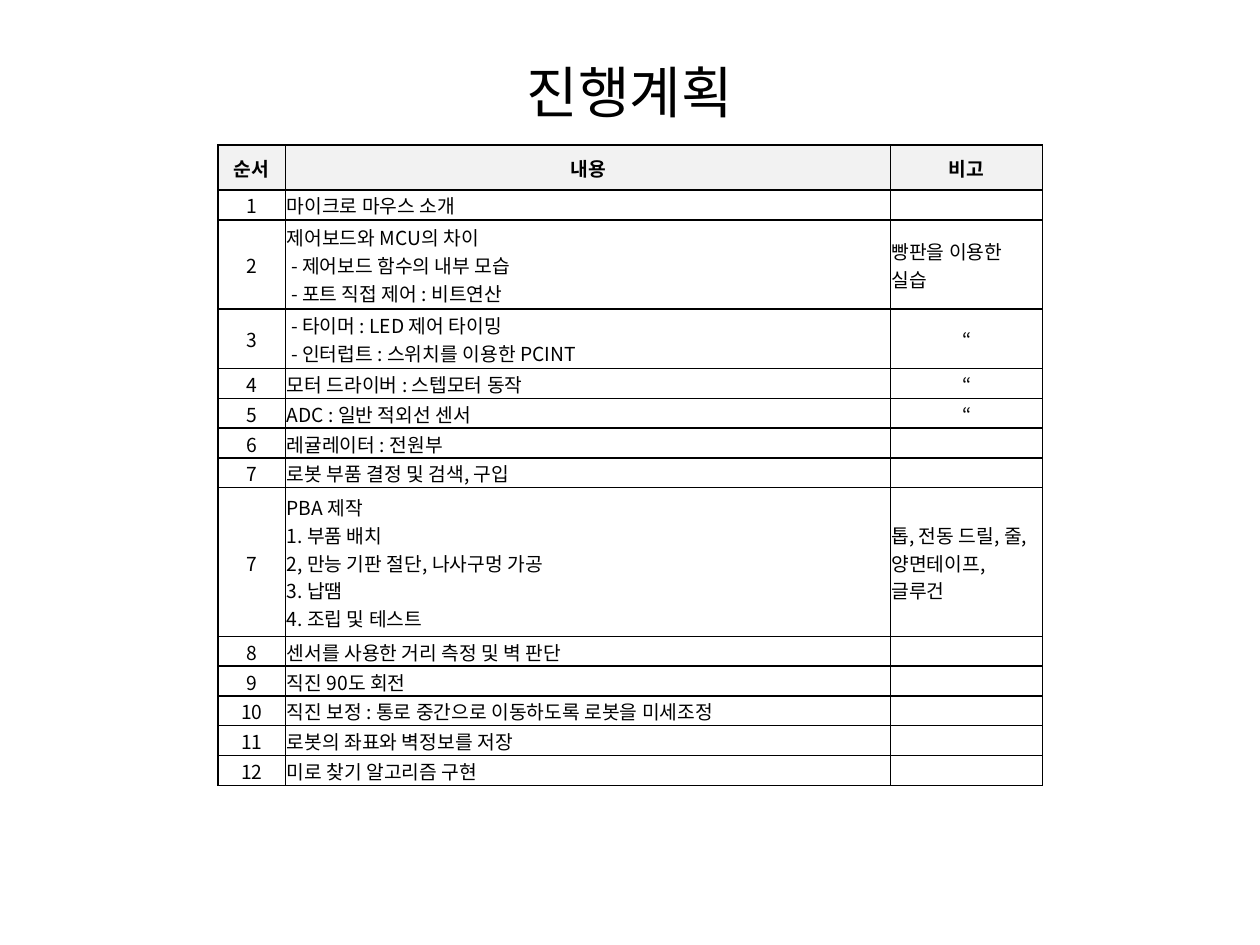
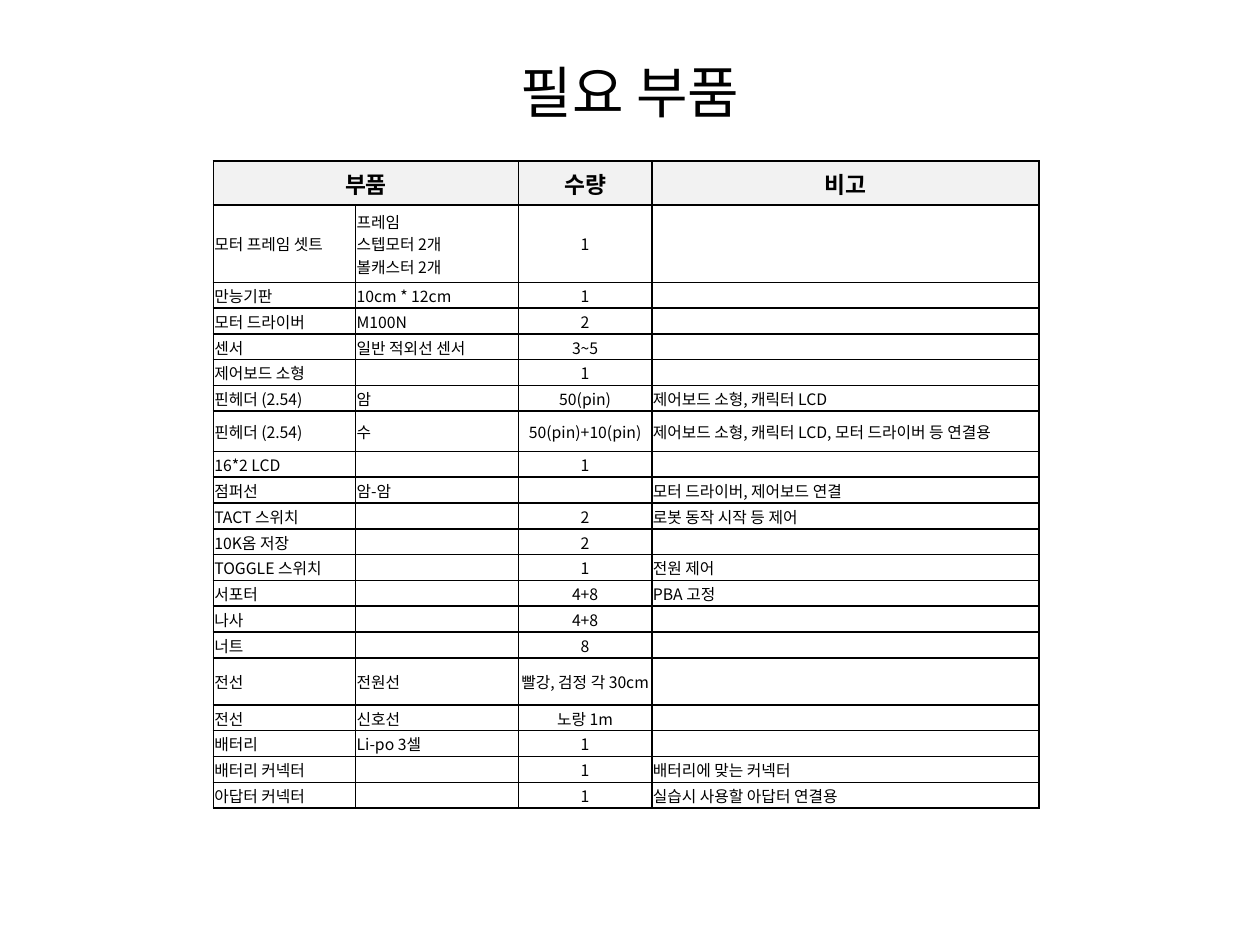
import pptx
import pptx.util
import pptx.dml.color
import pptx.enum.text
import pptx.oxml.ns
import lxml.etree

Cm = pptx.util.Cm
Pt = pptx.util.Pt
qn = pptx.oxml.ns.qn
ALIGN = {"l": pptx.enum.text.PP_ALIGN.LEFT, "c": pptx.enum.text.PP_ALIGN.CENTER}
MIDDLE = pptx.enum.text.MSO_ANCHOR.MIDDLE
FONT = "Noto Sans CJK KR"
COLORS = {"ink": "000000", "header": "F2F2F2", "paper": "FFFFFF"}
TITLE_BOX = (1.27, 0.76, 22.86, 2.16)
DITTO = "“"

PLAN = {
    "title": "진행계획",
    "origin": (4.39, 2.92),
    "widths": (1.37, 12.19, 3.07),
    "aligns": "cll",
    "header_height": 0.91,
    "row_height": 0.6,
    "tall_rows": {2: 1.8, 3: 1.2, 8: 3.0},
    "header_size": 11,
    "body_size": 11,
    "rows": [
        ("순서", "내용", "비고"),
        ("1", "마이크로 마우스 소개", ""),
        ("2", "제어보드와 MCU의 차이\v - 제어보드 함수의 내부 모습\v - 포트 직접 제어 : 비트연산",
         "빵판을 이용한 실습"),
        ("3", " - 타이머 : LED 제어 타이밍\v - 인터럽트 : 스위치를 이용한 PCINT", DITTO),
        ("4", "모터 드라이버 : 스텝모터 동작", DITTO),
        ("5", "ADC : 일반 적외선 센서", DITTO),
        ("6", "레귤레이터 : 전원부", ""),
        ("7", "로봇 부품 결정 및 검색, 구입", ""),
        ("7", "PBA 제작\v1. 부품 배치\v2, 만능 기판 절단, 나사구멍 가공\v3. 납땜\v4. 조립 및 테스트",
         "톱, 전동 드릴, 줄,양면테이프, 글루건"),
        ("8", "센서를 사용한 거리 측정 및 벽 판단", ""),
        ("9", "직진 90도 회전", ""),
        ("10", "직진 보정 : 통로 중간으로 이동하도록 로봇을 미세조정", ""),
        ("11", "로봇의 좌표와 벽정보를 저장", ""),
        ("12", "미로 찾기 알고리즘 구현", ""),
    ],
}

PARTS = {
    "title": "필요 부품",
    "origin": (4.3, 3.25),
    "widths": (2.87, 3.28, 2.69, 7.8),
    "aligns": "llcl",
    "header_height": 0.88,
    "row_height": 0.52,
    "tall_rows": {1: 1.56, 7: 0.81, 16: 0.95},
    "header_size": 13,
    "body_size": 9,
    "header_span": 2,
    "rows": [
        ("부품", "", "수량", "비고"),
        ("모터 프레임 셋트", "프레임\v스텝모터 2개\v볼캐스터 2개", "1", ""),
        ("만능기판", "10cm * 12cm", "1", ""),
        ("모터 드라이버", "M100N", "2", ""),
        ("센서", "일반 적외선 센서", "3~5", ""),
        ("제어보드 소형", "", "1", ""),
        ("핀헤더 (2.54)", "암", "50(pin)", "제어보드 소형, 캐릭터 LCD"),
        ("핀헤더 (2.54)", "수", "50(pin)+10(pin)",
         "제어보드 소형, 캐릭터 LCD, 모터 드라이버 등 연결용"),
        ("16*2 LCD", "", "1", ""),
        ("점퍼선", "암-암", "", "모터 드라이버, 제어보드 연결"),
        ("TACT 스위치", "", "2", "로봇 동작 시작 등 제어"),
        ("10K옴 저장", "", "2", ""),
        ("TOGGLE 스위치", "", "1", "전원 제어"),
        ("서포터", "", "4+8", "PBA 고정"),
        ("나사", "", "4+8", ""),
        ("너트", "", "8", ""),
        ("전선", "전원선", "빨강, 검정 각 30cm", ""),
        ("전선", "신호선", "노랑 1m", ""),
        ("배터리", "Li-po 3셀", "1", ""),
        ("배터리 커넥터", "", "1", "배터리에 맞는 커넥터"),
        ("아답터 커넥터", "", "1", "실습시 사용할 아답터 연결용"),
    ],
}


def rgb(name):
    return pptx.dml.color.RGBColor.from_string(COLORS[name])


def write(tf, text, size, align="l", bold=False, color="ink"):
    p = tf.paragraphs[0]
    p.alignment = ALIGN[align]
    if not text:
        lxml.etree.SubElement(p._p, qn("a:endParaRPr"), sz=str(size * 100))
        return
    p.text = text
    for r in p.runs:
        r.font.size = Pt(size)
        r.font.bold = bold
        r.font.color.rgb = rgb(color)
        r.font.name = FONT
        lxml.etree.SubElement(r.font._element, qn("a:ea"), typeface=FONT)


def add_title(s, box, text):
    tf = s.shapes.add_textbox(*map(Cm, box)).text_frame
    tf.word_wrap = True
    tf.vertical_anchor = MIDDLE
    write(tf, text, 32, "c")


def style_cell(cell, fill):
    cell.vertical_anchor = MIDDLE
    cell.margin_left = cell.margin_right = cell.margin_top = Cm(0.02)
    cell.margin_bottom = 0
    tcPr = cell._tc.get_or_add_tcPr()
    for side in ("lnL", "lnR", "lnT", "lnB"):
        ln = lxml.etree.SubElement(tcPr, qn("a:" + side), w=str(Pt(1)))
        line_fill = lxml.etree.SubElement(ln, qn("a:solidFill"))
        lxml.etree.SubElement(line_fill, qn("a:srgbClr"), val=COLORS["ink"])
    cell.fill.solid()
    cell.fill.fore_color.rgb = rgb(fill)


def add_grid(s, data):
    rows, widths = data["rows"], data["widths"]
    heights = [data["tall_rows"].get(i, data["row_height"]) for i in range(len(rows))]
    heights[0] = data["header_height"]
    box = (*data["origin"], sum(widths), sum(heights))
    table = s.shapes.add_table(len(rows), len(widths), *map(Cm, box)).table
    for column, width in zip(table.columns, widths):
        column.width = Cm(width)
    for i, (row, texts) in enumerate(zip(table.rows, rows)):
        row.height = Cm(heights[i])
        header = i == 0
        size = data["header_size"] if header else data["body_size"]
        for cell, text, align in zip(row.cells, texts, data["aligns"]):
            style_cell(cell, "header" if header else "paper")
            centred = header or text == DITTO
            write(cell.text_frame, text, size, "c" if centred else align, header)
    span = data.get("header_span", 1)
    if span > 1:
        table.cell(0, 0).merge(table.cell(0, span - 1))


def add_table_slide(prs, data):
    s = prs.slides.add_slide(prs.slide_layouts[6])
    s.background.fill.solid()
    s.background.fill.fore_color.rgb = rgb("paper")
    add_title(s, TITLE_BOX, data["title"])
    add_grid(s, data)


def main():
    prs = pptx.Presentation()
    prs.slide_width, prs.slide_height = Cm(25.4), Cm(19.05)
    for data in (PLAN, PARTS):
        add_table_slide(prs, data)
    prs.save("out.pptx")


if __name__ == "__main__":
    main()
